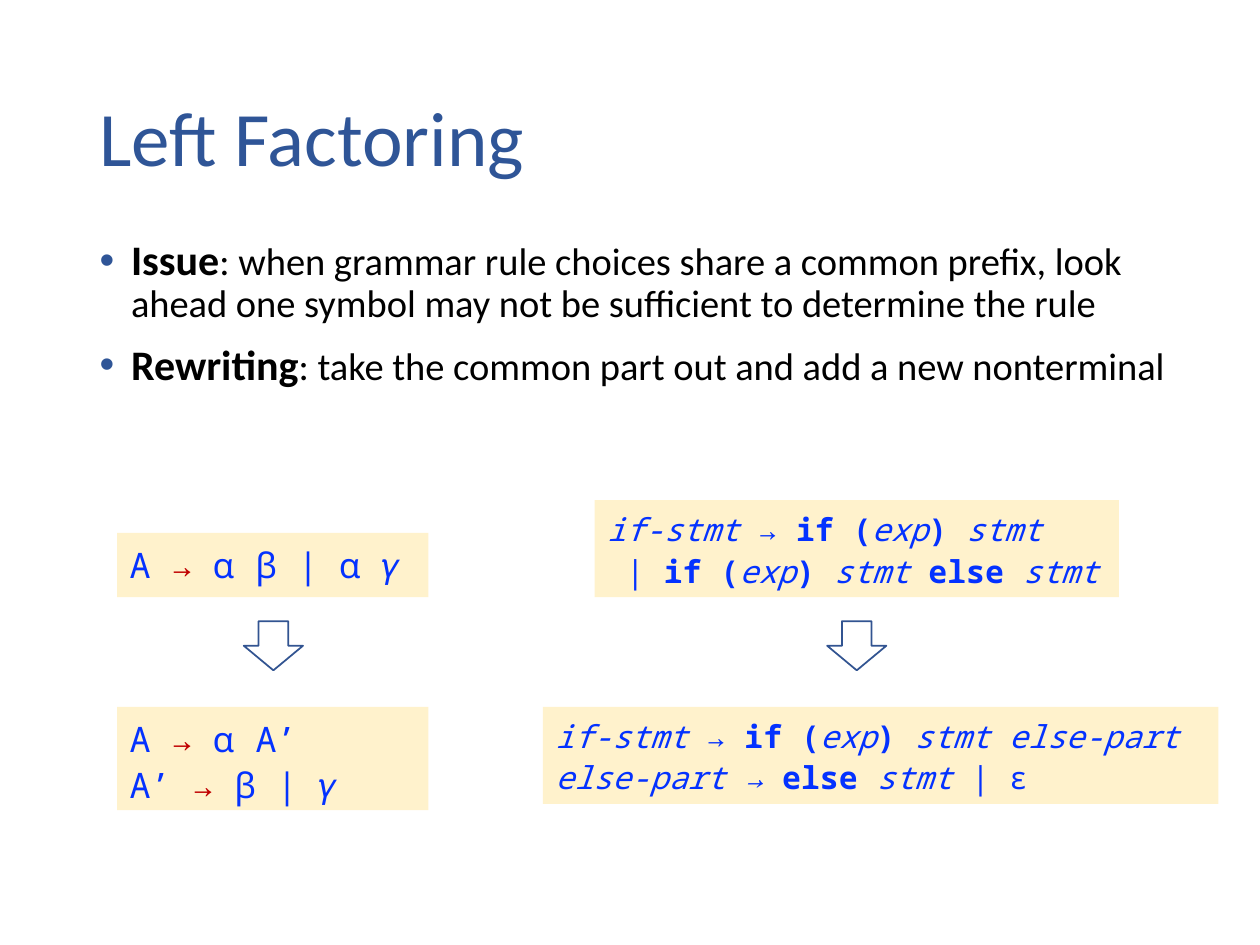
"""Build the Left Factoring slide: an issue, a rewriting, and two grammar examples."""
from lxml import etree
from pptx import Presentation
from pptx.dml.color import RGBColor
from pptx.enum.shapes import MSO_SHAPE
from pptx.enum.text import MSO_ANCHOR, MSO_AUTO_SIZE, PP_ALIGN
from pptx.oxml.ns import qn
from pptx.util import Inches, Pt

RECTANGLE, DOWN_ARROW = MSO_SHAPE.RECTANGLE, MSO_SHAPE.DOWN_ARROW
TOP, MIDDLE = MSO_ANCHOR.TOP, MSO_ANCHOR.MIDDLE
LEFT, NO_FIT = PP_ALIGN.LEFT, MSO_AUTO_SIZE.NONE

HEADING, BODY, CODE = "2F5597", "000000", "0432FF"
DERIVES, CARD, ARROW = "C00000", "FFF2CC", "325491"
SANS, MONO = "Calibri", "Noto Sans Mono"

TITLE = "Left Factoring"
POINTS = [
    ("Issue", ": when grammar rule choices share a common prefix, look ahead "
              "one symbol may not be sufficient to determine the rule"),
    ("Rewriting", ": take the common part out and add a new nonterminal"),
]

# Each run is (text, style): b bold, i italic, r red, empty plain.
GENERAL_BEFORE = [[("A ", ""), ("→", "r"), (" ⍺ β | ⍺ 𝛾", "")]]
GENERAL_AFTER = [
    [("A ", ""), ("→", "r"), (" ⍺ A’", "")],
    [("A’ ", ""), ("→", "r"), (" β | 𝛾", "")],
]
CONDITION = [("if (", "b"), ("exp", "i")]
IF_RULE = [("if-stmt ", "i"), ("→ ", ""), *CONDITION, (") ", "b")]
IF_BEFORE = [
    [*IF_RULE, ("stmt", "i")],
    [(" | ", ""), *CONDITION, (")", "b"), (" stmt ", "i"),
     ("else", "b"), (" stmt", "i")],
]
IF_AFTER = [
    [*IF_RULE, ("stmt else-part", "i")],
    [("else-part → ", "i"), ("else", "b"), (" stmt ", "i"), ("| ε", "")],
]

BEFORE_BOTTOM, ARROW_TOP, AFTER_TOP = 4.74, 4.93, 5.61
ARROW_SIZE = (0.47, 0.39)
# Text size, arrow centre, then (rules, left, width, height) before and after.
EXAMPLES = [
    (20, 2.17, (GENERAL_BEFORE, 0.93, 2.47, 0.51), (GENERAL_AFTER, 0.93, 2.47, 0.82)),
    (18, 6.8, (IF_BEFORE, 4.72, 4.16, 0.77), (IF_AFTER, 4.31, 5.36, 0.77)),
]


def color(value):
    return RGBColor.from_string(value)


def place(part, left, top, width, height):
    part.left, part.top = Inches(left), Inches(top)
    part.width, part.height = Inches(width), Inches(height)


def style_font(font, family, size, value):
    font.name, font.size = family, Pt(size)
    font.color.rgb = color(value)


def set_bullet(paragraph):
    properties = paragraph._p.get_or_add_pPr()
    properties.set("marL", str(Inches(0.25)))
    properties.set("indent", str(-Inches(0.25)))
    tint = etree.SubElement(properties, qn("a:buClr"))
    etree.SubElement(tint, qn("a:srgbClr"), val=HEADING)
    etree.SubElement(properties, qn("a:buFont"), typeface="Arial")
    etree.SubElement(properties, qn("a:buChar"), char="•")


def paragraphs(frame, items):
    for index, item in enumerate(items):
        yield index, item, frame.paragraphs[0] if index == 0 else frame.add_paragraph()


def add_title(slide):
    title = slide.shapes.title
    place(title, 0.69, 0.4, 8.62, 1.45)
    frame = title.text_frame
    frame.text, frame.vertical_anchor = TITLE, MIDDLE
    frame.auto_size = NO_FIT
    heading = frame.paragraphs[0]
    heading.alignment, heading.line_spacing = LEFT, 0.9
    style_font(heading.font, SANS, 44, HEADING)


def add_points(slide):
    body = slide.placeholders[1]
    place(body, 0.69, 1.85, 8.98, 1.64)
    frame = body.text_frame
    frame.auto_size = NO_FIT
    for index, (term, explanation), paragraph in paragraphs(frame, POINTS):
        set_bullet(paragraph)
        paragraph.line_spacing = 0.9
        paragraph.space_before = Pt(10 if index else 0)
        style_font(paragraph.font, SANS, 22, BODY)
        lead = paragraph.add_run()
        lead.text, lead.font.bold, lead.font.size = term, True, Pt(24)
        paragraph.add_run().text = explanation


def add_shape(slide, kind, *box):
    shape = slide.shapes.add_shape(kind, *map(Inches, box))
    shape.shadow.inherit = False
    return shape


def add_rules(slide, rules, size, *box):
    card = add_shape(slide, RECTANGLE, *box)
    card.fill.solid()
    card.fill.fore_color.rgb = color(CARD)
    card.line.fill.background()
    frame = card.text_frame
    frame.word_wrap, frame.vertical_anchor = True, TOP
    for _, rule, paragraph in paragraphs(frame, rules):
        paragraph.alignment, paragraph.line_spacing = LEFT, 1.1
        style_font(paragraph.font, MONO, size, CODE)
        for text, style in rule:
            run = paragraph.add_run()
            run.text = text
            if style == "b":
                run.font.bold = True
            elif style == "i":
                run.font.italic = True
            elif style == "r":
                run.font.color.rgb = color(DERIVES)


def add_arrow(slide, center):
    width, height = ARROW_SIZE
    arrow = add_shape(slide, DOWN_ARROW, center - width / 2, ARROW_TOP, width, height)
    arrow.fill.background()
    arrow.line.color.rgb = color(ARROW)
    arrow.line.width = Pt(1)


def main():
    deck = Presentation()
    deck.slide_width, deck.slide_height = Inches(10), Inches(7.5)
    slide = deck.slides.add_slide(deck.slide_layouts[1])
    add_title(slide)
    add_points(slide)
    for size, center, before, after in EXAMPLES:
        rules, left, width, height = before
        add_rules(slide, rules, size, left, BEFORE_BOTTOM - height, width, height)
        add_arrow(slide, center)
        rules, left, width, height = after
        add_rules(slide, rules, size, left, AFTER_TOP, width, height)
    deck.save("out.pptx")


if __name__ == "__main__":
    main()
